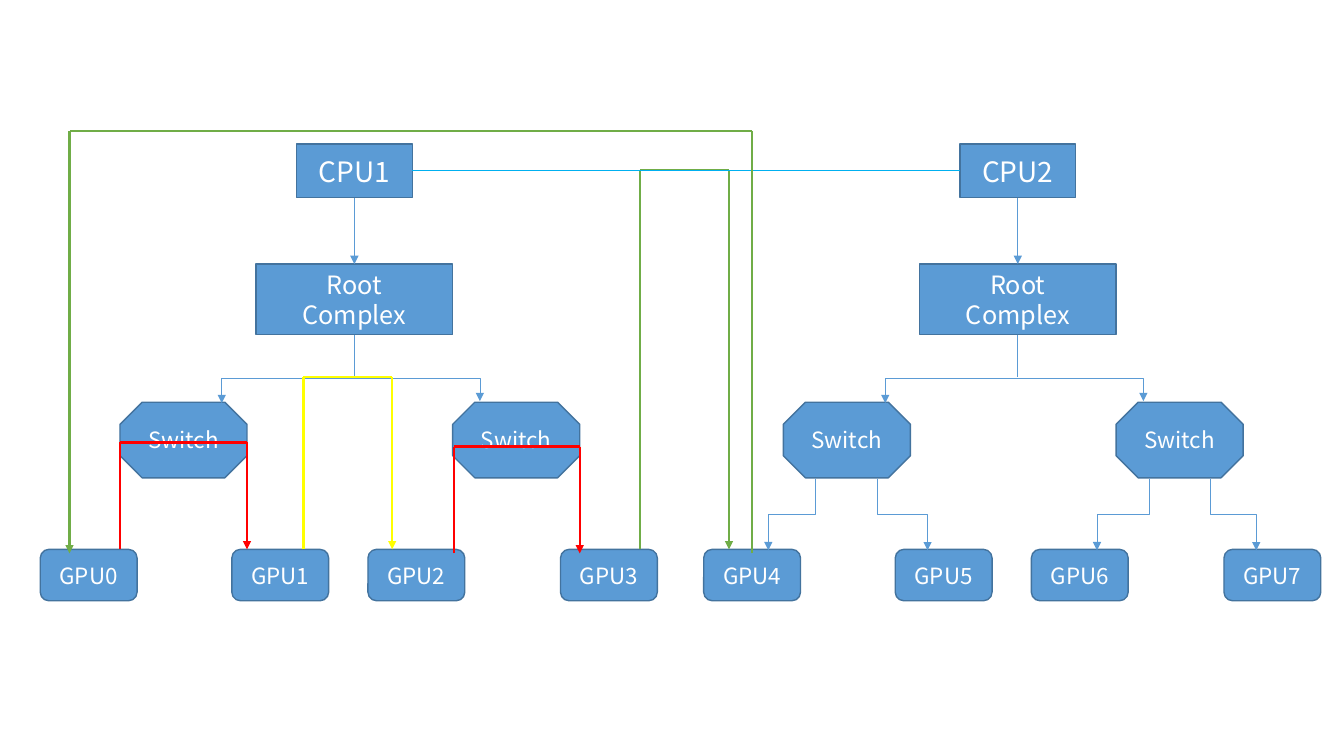
from lxml.etree import SubElement as Sub
from pptx import Presentation
from pptx.dml.color import RGBColor as Rgb
from pptx.enum.shapes import MSO_CONNECTOR as Link, MSO_SHAPE as Form
from pptx.enum.text import MSO_ANCHOR as Anchor, PP_ALIGN as Align
from pptx.oxml.ns import qn
from pptx.util import Inches, Pt

COLORS = {
    "fill": "5B9BD5", "edge": "43739E", "text": "FFFFFF", "red": "FF0000",
    "yellow": "FFFF00", "green": "70AD47", "cyan": "00B0F0",
}
FONT = "Noto Sans CJK SC"
CELL = Inches(0.1)
SHIFT = 65.8
GPUS = (4, 23, 36.5, 55.6)
SWITCHES = (11.9, 44.9)
MID, BUS, FLOOR = 35.15, 37.4, 54.5


def cells(*spans):
    return [round(span * CELL) for span in spans]


def tint(name):
    return Rgb.from_string(COLORS[name])


def node(slide, form, box, text, size):
    shape = slide.shapes.add_shape(form, *cells(*box))
    shape.shadow.inherit = False
    shape.fill.solid()
    shape.fill.fore_color.rgb = tint("fill")
    shape.line.color.rgb = tint("edge")
    shape.line.width = Pt(1)
    frame = shape.text_frame
    frame.word_wrap = True
    frame.vertical_anchor = Anchor.MIDDLE
    frame.text = text
    for para in frame.paragraphs:
        para.alignment = Align.CENTER
        para.font.name = FONT
        para.font.size = Pt(size)
        para.font.color.rgb = tint("text")
    return shape


def line(slide, start, end, color="fill", width=0.5, ends=(), kind=Link.STRAIGHT):
    link = slide.shapes.add_connector(kind, *cells(*start, *end))
    link.line.color.rgb = tint(color)
    link.line.width = Pt(width)
    props = link._element.spPr
    for end_tag in ends:
        Sub(props.find(qn("a:ln")), qn(f"a:{end_tag}"), type="triangle")
    Sub(props, qn("a:effectLst"))
    return link


def bend(slide, start, end, turn, ends=("tailEnd",)):
    mid_x, mid_y = (start[0] + end[0]) / 2, (start[1] + end[1]) / 2
    first, last = [(mid_x + y - mid_y, mid_y - x + mid_x) for x, y in (start, end)]
    link = line(slide, first, last, ends=ends, kind=Link.ELBOW)
    props = link._element.spPr
    props.find(qn("a:xfrm")).set("rot", str(90 * 60000))
    guides = props.find(qn("a:prstGeom")).get_or_add_avLst()
    share = round((turn - start[1]) / (end[1] - start[1]) * 100000)
    Sub(guides, qn("a:gd"), name="adj1", fmla=f"val {share}")


def route(slide, left, right, top, base, color):
    stops = [(left, base), (left, top), (right, top), (right, base)]
    for step in range(3):
        ends = ("tailEnd",) if step == 2 else ()
        line(slide, stops[step], stops[step + 1], color, 1.5, ends)


def half(slide, index):
    left = index * SHIFT
    cpu = node(slide, Form.RECTANGLE, (left + 29.4, 14.3, 11.5, 5.3), f"CPU{index + 1}", 20)
    root = node(slide, Form.RECTANGLE, (left + 25.4, 26.2, 19.5, 7), "Root\nComplex", 18)
    for x in SWITCHES:
        node(slide, Form.OCTAGON, (left + x, 39.9, 12.6, 7.5), "Switch", 16)
    for place, x in enumerate(GPUS, 4 * index):
        node(slide, Form.ROUNDED_RECTANGLE, (left + x, FLOOR, 9.6, 5.1), f"GPU{place}", 16)
    mid = left + MID
    down = line(slide, (mid, 19.6), (mid, 26.2), ends=("tailEnd",))
    down.begin_connect(cpu, 2)
    down.end_connect(root, 0)
    bend(slide, (left + 22, 40), (left + 47.6, 39.8), 37.5, ("headEnd", "tailEnd"))
    line(slide, (mid, 33.2), (mid, BUS)).begin_connect(root, 2)
    return cpu


def main():
    deck = Presentation()
    deck.slide_width, deck.slide_height = Inches(13.33), Inches(7.5)
    slide = deck.slides.add_slide(deck.slide_layouts[6])

    first = half(slide, 0)
    route(slide, 11.9, 24.5, 43.9, FLOOR, "red")
    route(slide, 30.1, 38.9, BUS, FLOOR, "yellow")
    route(slide, 45, 57.5, 44.3, 54.9, "red")

    second = half(slide, 1)
    route(slide, 63.5, 72.3, 16.9, FLOOR, "green")
    bus = line(slide, (40.9, 16.95), (95.2, 16.95), "cyan")
    bus.begin_connect(first, 3)
    bus.end_connect(second, 1)
    route(slide, 74.6, 6.9, 13, 54.9, "green")

    for top, foot in ((120, 124.6), (114, 108.8), (87, 92), (80.9, 76.2)):
        bend(slide, (top, 47.5), (foot, 54.6), 51.05)
    deck.save("out.pptx")


if __name__ == "__main__":
    main()
